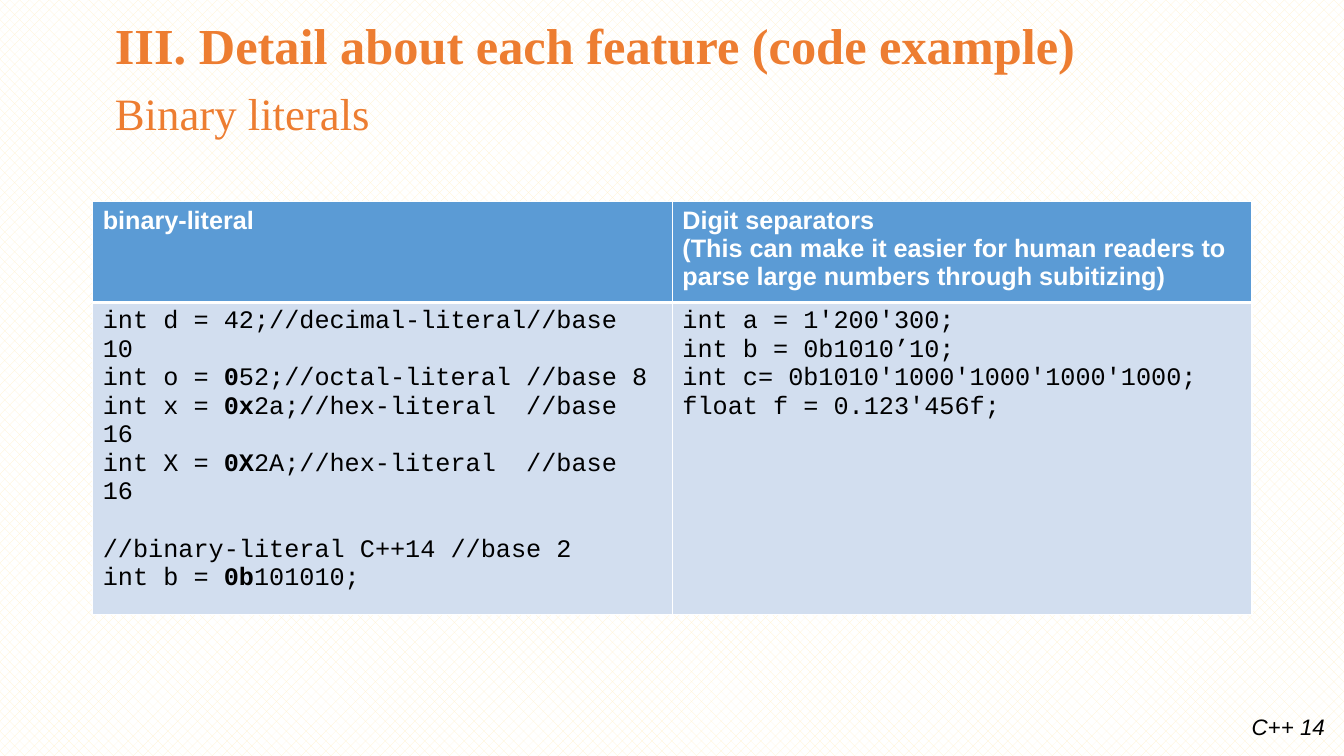
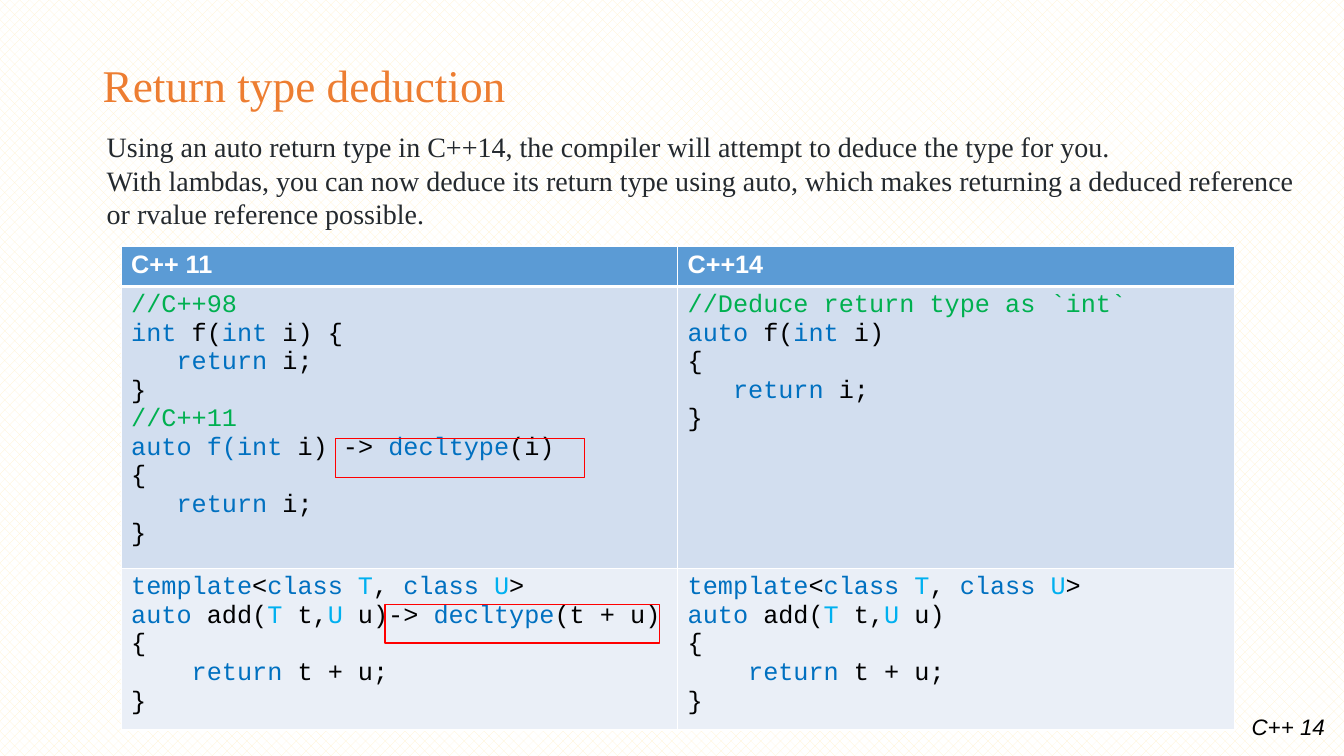
"""Build two slides on C++14 literals and return type deduction."""
from lxml.etree import SubElement
from pptx import Presentation
from pptx.dml.color import RGBColor as Rgb
from pptx.enum.dml import MSO_PATTERN as Pattern
from pptx.enum.shapes import MSO_SHAPE as Shape
from pptx.enum.text import MSO_ANCHOR as Anchor
from pptx.oxml.ns import qn
from pptx.util import Pt

HUES = {"title": "ED7D31", "black": "000000", "white": "FFFFFF",
        "cream": "FFF2CC", "body": "24292E", "head": "5B9BD5",
        "band1": "D2DEEF", "band2": "EAEFF7", "red": "FF0000",
        "note": "00B050", "word": "0070C0", "type": "00B0F0"}
SERIF, SANS, MONO = "Times New Roman", "Arial", "Courier New"
MARKS = {"#": "note", "*": "word", "^": "type", "_": "bold"}
LINE = 20.4

LITERALS = {
    "at": (66.25, 144), "cols": (414, 414), "rows": (70.5, 223),
    "head": (["binary-literal"],
             ["Digit separators",
              "(This can make it easier for human readers to parse large "
              "numbers through subitizing)"]),
    "code": [(
        ["int d = 42;//decimal-literal//base 10",
         "int o = _0_52;//octal-literal //base 8",
         "int x = _0x_2a;//hex-literal  //base 16",
         "int X = _0X_2A;//hex-literal  //base 16",
         "//binary-literal C++14 //base 2",
         "int b = _0b_101010;"],
        ["int a = 1'200'300;",
         "int b = 0b1010’10;",
         "int c= 0b1010'1000'1000'1000'1000;",
         "float f = 0.123'456f;"])],
    "gap": "//binary"}

CLASS = "*template*<*class *^T^, *class *^U^>"
SUM = ["{", "    *return* t + u;", "}"]
BACK = ["{", "   *return *i;", "}"]
RETURNS = {
    "at": (86.5, 175.75), "cols": (397.5, 398), "rows": (28.75, 201.5, 115),
    "head": (["C++ 11"], ["C++14"]),
    "code": [
        (["#//C++98#", "*int *f(*int *i) {", *BACK[1:],
          "#//C++11#", "*auto f(int *i) -> *decltype*(i)", *BACK],
         ["#//Deduce return type as `int`#", "*auto *f(*int *i)", *BACK]),
        ([CLASS, "*auto* add(^T ^t,^U^ u)-> *decltype*(t + u)", *SUM],
         [CLASS, "*auto* add(^T ^t,^U^ u)", *SUM])],
    "gap": None}
INTRO = [
    "Using an auto return type in C++14, the compiler will attempt to "
    "deduce the type for you.",
    "With lambdas, you can now deduce its return type using auto, which "
    "makes returning a deduced reference",
    "or rvalue reference possible."]
FRAMES = [(239.75, 313.25, 178, 28), (275, 432, 196, 27.25)]


def hue(name):
    return Rgb.from_string(HUES[name])


def style(para, face, size, color, bold=False):
    font = para.font
    font.name, font.size, font.bold = face, Pt(size), bold
    font.color.rgb = hue(color)


def fill_text(frame, lines, *look):
    for i, line in enumerate(lines):
        para = frame.add_paragraph() if i else frame.paragraphs[0]
        style(para, *look)
        add_runs(para, line)


def add_runs(para, line):
    mark, text = None, ""
    for char in line + "\n":
        if char not in MARKS and char != "\n":
            text += char
            continue
        if text:
            run = para.add_run()
            run.text = text
            if mark == "_":
                run.font.bold = True
            elif mark:
                run.font.color.rgb = hue(MARKS[mark])
        mark, text = (None if mark else char), ""


def add_text(slide, box, lines, *look, wrap=False):
    frame = slide.shapes.add_textbox(*map(Pt, box)).text_frame
    frame.word_wrap = wrap
    if isinstance(lines, str):
        para = frame.paragraphs[0]
        style(para, *look)
        para.add_run().text = lines
    else:
        fill_text(frame, lines, *look)
    return frame


def add_edges(cell, row):
    wide = {0: "lnB", 1: "lnT"}.get(row)
    props = cell._tc.get_or_add_tcPr()
    for tag in ("lnL", "lnR", "lnT", "lnB"):
        edge = SubElement(props, qn("a:" + tag),
                          w=str(Pt(3 if tag == wide else 1)))
        solid = SubElement(edge, qn("a:solidFill"))
        SubElement(solid, qn("a:srgbClr"), val=HUES["white"])


def add_grid(slide, data):
    cols, rows = data["cols"], data["rows"]
    size = (*data["at"], sum(cols), sum(rows))
    table = slide.shapes.add_table(len(rows), len(cols), *map(Pt, size)).table
    for col, width in zip(table.columns, cols):
        col.width = Pt(width)
    for row, height in zip(table.rows, rows):
        row.height = Pt(height)
    for r, texts in enumerate([data["head"], *data["code"]]):
        look = (MONO, 18, "black") if r else (SANS, 18, "white", True)
        for c, lines in enumerate(texts):
            cell = table.cell(r, c)
            add_edges(cell, r)
            cell.fill.solid()
            cell.fill.fore_color.rgb = hue(("head", "band1", "band2")[r])
            fill_text(cell.text_frame, lines, *look)
            for para in cell.text_frame.paragraphs:
                if data["gap"] and para.text.startswith(data["gap"]):
                    para.space_before = Pt(LINE)


def add_slide(deck):
    slide = deck.slides.add_slide(deck.slide_layouts[6])
    foot = add_text(slide, (887, 506, 67.75, 26.75), "C++ 14",
                    SANS, 16, "black")
    foot.paragraphs[0].font.italic = True
    return slide


def add_frame(slide, box):
    rect = slide.shapes.add_shape(Shape.RECTANGLE, *map(Pt, box))
    rect.shadow.inherit = False
    rect.fill.background()
    rect.line.color.rgb = hue("red")
    rect.line.width = Pt(1)


def main():
    deck = Presentation()
    deck.slide_width, deck.slide_height = Pt(960), Pt(540)
    back = deck.slide_master.background.fill
    back.patterned()
    back.pattern = Pattern.PERCENT_30
    back.fore_color.rgb, back.back_color.rgb = hue("cream"), hue("white")

    first = add_slide(deck)
    add_text(first, (75, 57.5, 240.5, 46), "Binary literals",
             SERIF, 32, "title", wrap=True)
    add_text(first, (75, 6.5, 707.75, 51),
             "III. Detail about each feature (code example)",
             SERIF, 36, "title", True)
    add_grid(first, LITERALS)

    second = add_slide(deck)
    add_text(second, (66.25, 37, 342, 51.75), "Return type deduction",
             SERIF, 32.4, "title", wrap=True)
    intro = add_text(second, (76.25, 92.25, 859, 72.75), INTRO,
                     SERIF, 20, "body")
    intro.vertical_anchor = Anchor.MIDDLE
    intro.margin_left = intro.margin_right = 0
    intro.margin_top = intro.margin_bottom = 0
    add_grid(second, RETURNS)
    for box in FRAMES:
        add_frame(second, box)
    deck.save("out.pptx")


if __name__ == "__main__":
    main()
